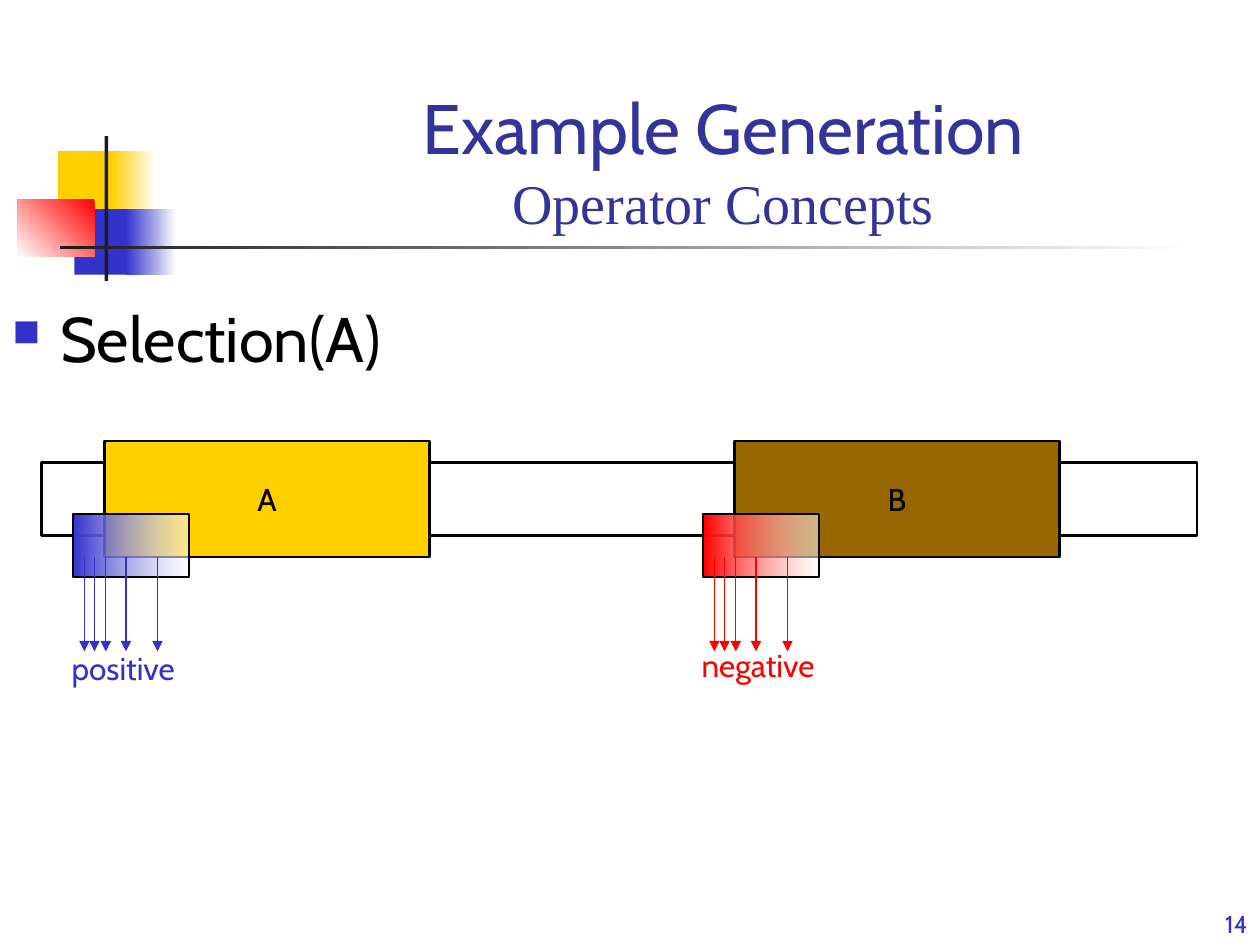
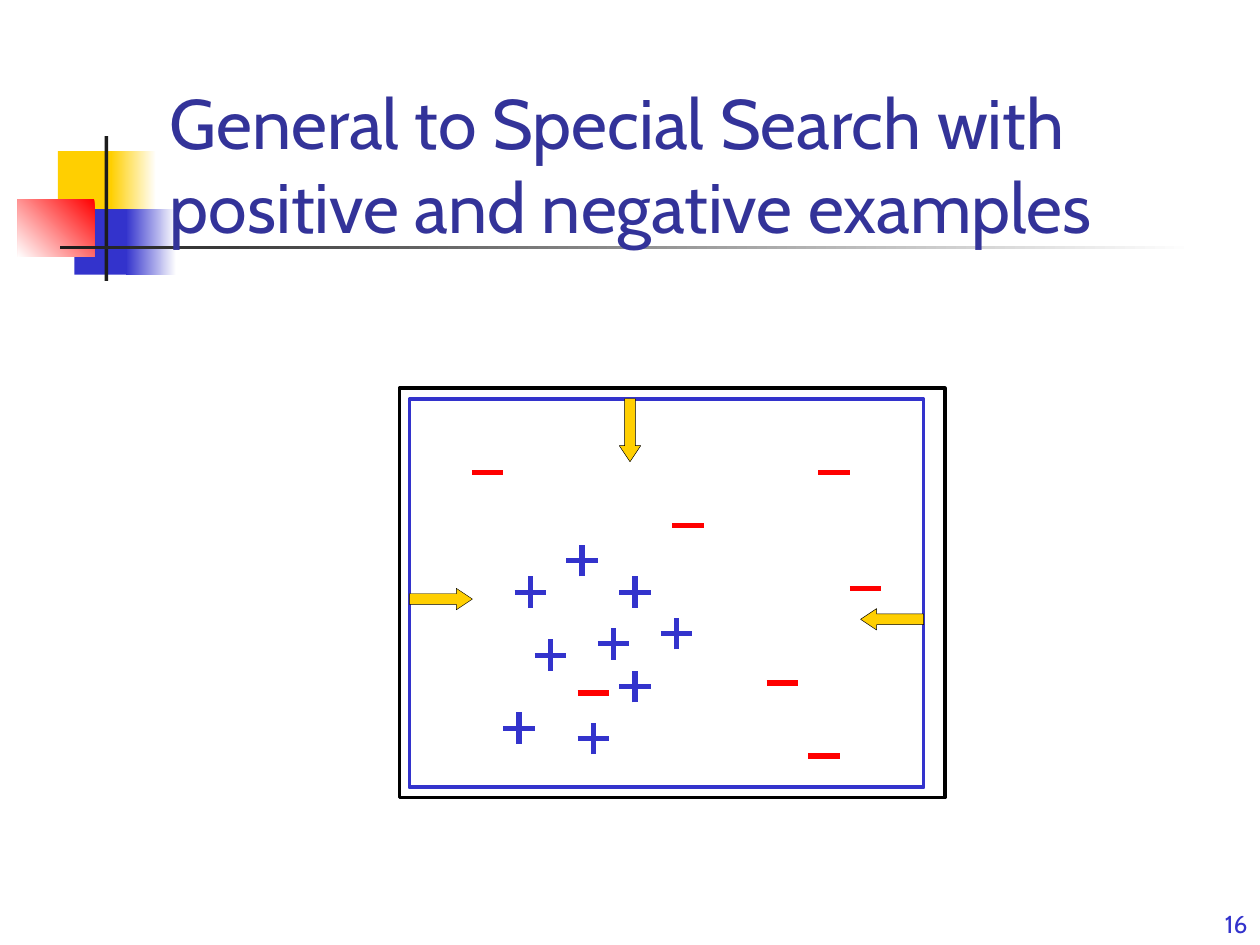
from lxml.etree import SubElement
from pptx import Presentation
from pptx.dml.color import RGBColor
from pptx.enum.shapes import MSO_CONNECTOR as LINE, MSO_SHAPE as SHAPE
from pptx.enum.text import MSO_ANCHOR as ANCHOR, MSO_AUTO_SIZE as AUTO, PP_ALIGN as ALIGN
from pptx.oxml.ns import qn
from pptx.util import Inches, Pt

COLORS = {
    "yellow": "FFCF01", "blue": "3333CC", "red": "FF0000", "brown": "996600",
    "ink": "1C1C1C", "title": "333399", "black": "000000", "white": "FFFFFF",
}
FONT, SERIF = "Cabin", "Times New Roman"

LOGO_BANDS = [
    ((0.46, 1.2, 0.48, 0.52), "yellow"),
    ((0.88, 1.2, 0.36, 0.52), ("white", "yellow", 180)),
    ((0.59, 1.66, 0.46, 0.52), "blue"),
    ((1, 1.66, 0.4, 0.52), ("white", "blue", 180)),
    ((0.14, 1.58, 0.61, 0.46), ("red", "white", 225)),
    ((0.83, 1.08, 0.03, 1.15), "ink"),
    ((0.48, 1.95, 9, 0.03), ("white", "ink", 180)),
]

OPERATORS = [
    {"name": "A", "x": 0.83, "fill": "yellow", "sample": "blue",
     "label": "positive", "label_at": (0.47, 5.1, 1.11, 0.4)},
    {"name": "B", "x": 5.83, "fill": "brown", "sample": "red",
     "label": "negative", "label_at": (5.47, 5.08, 1.21, 0.4)},
]
SAMPLE_OFFSETS = [0.42, 0.17, 0.01, -0.08, -0.16]

SIGN = 0.25
POSITIVES = [(4.21, 4.7), (5.04, 4.7), (4.87, 5.11), (4.37, 5.2), (4.62, 4.45),
             (5.04, 5.45), (4.12, 5.78), (4.71, 5.86), (5.37, 5.03)]
NEGATIVES = [(6.62, 3.75), (5.46, 4.17), (3.87, 3.75), (6.21, 5.42),
             (6.87, 4.67), (4.71, 5.5), (6.54, 6)]
SHRINK_ARROWS = [(3.25, 4.67, 0), (4.75, 3.33, 90), (6.83, 4.83, 180)]


def rgb(name):
    return RGBColor.from_string(COLORS[name])


def set_all(obj, **values):
    for key, value in values.items():
        setattr(obj, key, value)


def add_box(s, at, fill=None, line=None, shape=SHAPE.RECTANGLE, first_alpha=None):
    sp = s.shapes.add_shape(shape, *map(Inches, at))
    sp.shadow.inherit = False
    if fill is None:
        sp.fill.background()
    elif isinstance(fill, tuple):
        start, end, angle = fill
        sp.fill.gradient()
        sp.fill.gradient_angle = angle
        for stop, name in zip(sp.fill.gradient_stops, (start, end)):
            stop.color.rgb = rgb(name)
        if first_alpha:
            color = next(sp._element.spPr.iter(qn("a:srgbClr")))
            SubElement(color, qn("a:alpha"), val=str(first_alpha * 1000))
    else:
        sp.fill.solid()
        sp.fill.fore_color.rgb = rgb(fill)
    if line:
        sp.line.color.rgb = rgb(line[0])
        sp.line.width = Pt(line[1])
    else:
        sp.line.fill.background()
    return sp


def add_line(parent, start, end, color, width, arrow=False):
    c = parent.shapes.add_connector(LINE.STRAIGHT, *map(Inches, start + end))
    c.line.color.rgb = rgb(color)
    c.line.width = Pt(width)
    if arrow:
        SubElement(c.line._get_or_add_ln(), qn("a:tailEnd"), type="triangle")
    SubElement(c._element.spPr, qn("a:effectLst"))


def write(sp, runs, color, align=ALIGN.LEFT, anchor=ANCHOR.TOP, wrap=True):
    tf = sp.text_frame
    set_all(tf, word_wrap=wrap, vertical_anchor=anchor,
            margin_left=Inches(0.1), margin_right=Inches(0.1),
            margin_top=Inches(0.05), margin_bottom=Inches(0.05))
    p = tf.paragraphs[0]
    p.alignment = align
    for i, (text, size, font) in enumerate(runs):
        if i:
            p.add_line_break()
        r = p.add_run()
        r.text = text
        set_all(r.font, size=Pt(size), name=font)
        r.font.color.rgb = rgb(color)
    return p


def add_text(s, at, runs, color, **layout):
    sp = s.shapes.add_textbox(*map(Inches, at))
    return sp, write(sp, runs, color, **layout)


def add_bullet(p, color, percent):
    pPr = p._p.get_or_add_pPr()
    set_indent = {"marL": Inches(0.38), "indent": -Inches(0.38)}
    for key, value in set_indent.items():
        pPr.set(key, str(value))
    SubElement(SubElement(pPr, qn("a:buClr")), qn("a:srgbClr"), val=COLORS[color])
    SubElement(pPr, qn("a:buSzPct"), val=str(percent * 1000))
    SubElement(pPr, qn("a:buChar"), char="■")


def new_slide(prs):
    s = prs.slides.add_slide(prs.slide_layouts[6])
    for at, fill in LOGO_BANDS:
        add_box(s, at, fill)
    return s


def add_title_and_number(s, at, runs, number, align=ALIGN.LEFT):
    add_text(s, at, runs, "title", align=align, anchor=ANCHOR.BOTTOM)
    add_text(s, (7.92, 7, 2.08, 0.5), [(number, 14, FONT)], "blue",
             align=ALIGN.RIGHT, anchor=ANCHOR.BOTTOM)


def build_operator_slide(prs):
    s = new_slide(prs)
    add_box(s, (0.33, 3.67, 9.17, 0.58), "white", ("black", 1.5))
    _, p = add_text(s, (0, 2.33, 8.5, 0.75), [("Selection(A)", 36, FONT)], "black")
    add_bullet(p, "blue", 60)
    for op in OPERATORS:
        x, color = op["x"], op["sample"]
        sp = add_box(s, (x, 3.5, 2.58, 0.92), op["fill"], ("black", 1.5))
        write(sp, [(op["name"], 18, FONT)], "black",
              align=ALIGN.CENTER, anchor=ANCHOR.MIDDLE, wrap=False)
        add_box(s, (x - 0.25, 4.08, 0.92, 0.5), ("white", color, 180),
                ("black", 0.75), first_alpha=53)
        arrows = s.shapes.add_group_shape()
        for offset in SAMPLE_OFFSETS:
            add_line(arrows, (x + offset, 4.42), (x + offset, 5.17), color, 0.75, arrow=True)
        label, _ = add_text(s, op["label_at"], [(op["label"], 18, FONT)], color, wrap=False)
        label.text_frame.auto_size = AUTO.SHAPE_TO_FIT_TEXT
    add_title_and_number(
        s, (1.48, 0.67, 8.52, 1.25),
        [("Example Generation", 40, FONT), ("Operator Concepts", 32, SERIF)],
        "14", ALIGN.CENTER)


def build_search_slide(prs):
    s = new_slide(prs)
    half = SIGN / 2
    add_box(s, (3.17, 3.08, 4.33, 3.25), line=("black", 2))
    for x, y in POSITIVES:
        plus = s.shapes.add_group_shape()
        add_line(plus, (x - half, y), (x + half, y), "blue", 3)
        add_line(plus, (x, y + half), (x, y - half), "blue", 3)
    for x, y in NEGATIVES:
        add_line(s, (x - half, y), (x + half, y), "red", 3)
    add_box(s, (3.25, 3.17, 4.08, 3.08), line=("blue", 2.25))
    for x, y, turn in SHRINK_ARROWS:
        sp = add_box(s, (x, y, 0.5, 0.17), "yellow", ("black", 0.25), SHAPE.RIGHT_ARROW)
        sp.rotation = turn
        sp.adjustments[0], sp.adjustments[1] = 0.5, 0.75
    add_title_and_number(
        s, (1.25, 1.08, 8.42, 0.93),
        [("General to Special Search with positive and negative examples", 40, FONT)], "16")


def main():
    prs = Presentation()
    set_all(prs, slide_width=Inches(10), slide_height=Inches(7.5))
    build_operator_slide(prs)
    build_search_slide(prs)
    prs.save("out.pptx")


if __name__ == "__main__":
    main()
